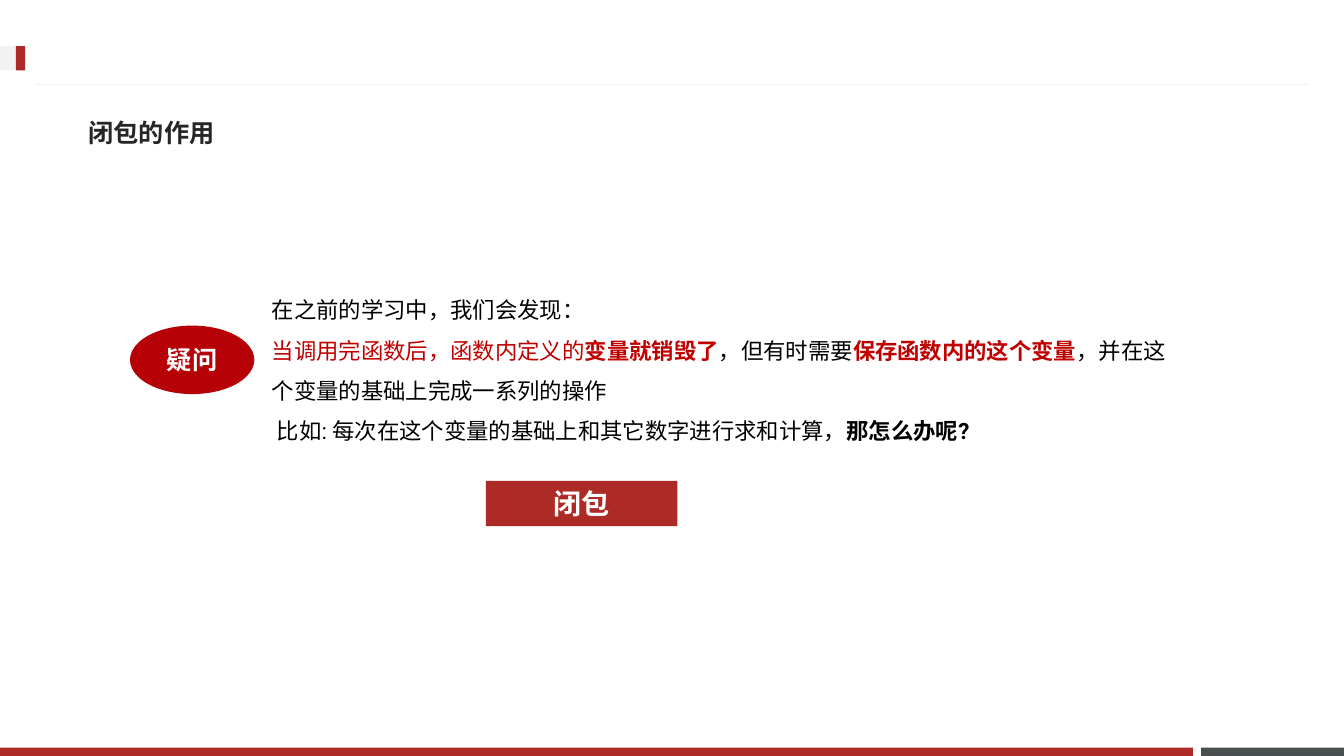
import pptx
import pptx.util
import pptx.dml.color
import pptx.enum.shapes
import pptx.enum.text
import pptx.oxml.ns
import lxml.etree

COLORS = {
    "brand": "AD2B26",
    "question": "B60206",
    "accent": "C00000",
    "slate": "49504F",
    "pale": "F2F2F2",
    "heading": "262626",
    "body": "000000",
    "white": "FFFFFF",
}
CJK_FONT = "Noto Sans CJK JP"
LATIN_FONT = "Roboto"
COLUMNS, ROWS = 160, 90
SHAPES = pptx.enum.shapes.MSO_SHAPE
ALIGN = pptx.enum.text.PP_ALIGN
ANCHOR = pptx.enum.text.MSO_ANCHOR


def rgb(name):
    return pptx.dml.color.RGBColor.from_string(COLORS[name])


def write(paragraph, text, size=16, color="body", bold=False, font=LATIN_FONT):
    run = paragraph.add_run()
    run.text = text
    run.font.size = pptx.util.Pt(size)
    run.font.bold = bold
    run.font.color.rgb = rgb(color)
    run.font.name = font
    east_asian = lxml.etree.SubElement(run.font._element, pptx.oxml.ns.qn("a:ea"))
    east_asian.set("typeface", CJK_FONT)


class LessonSlide:
    def __init__(self, presentation):
        self.column = presentation.slide_width / COLUMNS
        self.row = presentation.slide_height / ROWS
        self.slide = presentation.slides.add_slide(presentation.slide_layouts[6])

    def place(self, left, top, width, height):
        return (round(left * self.column), round(top * self.row),
                round(width * self.column), round(height * self.row))

    def block(self, *box, fill, kind=SHAPES.RECTANGLE, label=None, size=18):
        shape = self.slide.shapes.add_shape(kind, *self.place(*box))
        shape.shadow.inherit = False
        shape.fill.solid()
        shape.fill.fore_color.rgb = rgb(fill)
        shape.line.fill.background()
        if label:
            shape.text_frame.vertical_anchor = ANCHOR.MIDDLE
            paragraph = shape.text_frame.paragraphs[0]
            paragraph.alignment = ALIGN.CENTER
            write(paragraph, label, size=size, color="white", bold=True)

    def rule(self, left, right, row, color):
        x, y, width, _ = self.place(left, row, right - left, 0)
        line = self.slide.shapes.add_connector(
            pptx.enum.shapes.MSO_CONNECTOR.STRAIGHT, x, y, x + width, y)
        line.line.color.rgb = rgb(color)
        line.line.width = pptx.util.Pt(0.75)
        lxml.etree.SubElement(line._element.spPr, pptx.oxml.ns.qn("a:effectLst"))

    def text(self, *box, paragraphs, anchor=ANCHOR.TOP, spacing=None):
        frame = self.slide.shapes.add_textbox(*self.place(*box)).text_frame
        frame.word_wrap = True
        frame.vertical_anchor = anchor
        for index, runs in enumerate(paragraphs):
            paragraph = frame.add_paragraph() if index else frame.paragraphs[0]
            if spacing:
                paragraph.line_spacing = pptx.util.Pt(spacing)
            for words, style in runs:
                write(paragraph, words, **style)


def main():
    presentation = pptx.Presentation()
    presentation.slide_width = pptx.util.Inches(13.33)
    presentation.slide_height = pptx.util.Inches(7.5)
    lesson = LessonSlide(presentation)

    lesson.block(143, 89, 17, 1, fill="slate")
    lesson.block(0, 89, 142, 1, fill="brand")
    lesson.rule(4.2, 155.8, 10.1, "pale")
    lesson.block(0, 5.5, 3, 2.9, fill="pale")
    lesson.block(1.9, 5.5, 1.1, 2.9, fill="brand")

    heading = dict(size=18, color="heading", bold=True, font=CJK_FONT)
    lesson.text(9.36, 12.36, 140.4, 6.84, anchor=ANCHOR.MIDDLE,
                paragraphs=[[("闭包的作用", heading)]])

    lesson.block(15.48, 38.76, 14.8, 8.16, fill="question",
                 kind=SHAPES.OVAL, label="疑问")

    plain = {}
    red = dict(color="accent")
    key_point = dict(color="accent", bold=True)
    lesson.text(31.2, 33.12, 109.2, 20.64, spacing=28.8, paragraphs=[
        [("在之前的学习中，我们会发现：", plain)],
        [("当调用完函数后，函数内定义的", red),
         ("变量就销毁了", key_point),
         ("，但有时需要", plain),
         ("保存函数内的这个变量", key_point),
         ("，并在这个变量的基础上完成一系列的操作", plain)],
        [(" 比如: 每次在这个变量的基础上和其它数字进行求和计算，", plain),
         ("那怎么办呢?", dict(bold=True))],
    ])

    lesson.block(57.84, 57.24, 22.8, 5.4, fill="brand", label="闭包", size=20)
    presentation.save("out.pptx")


if __name__ == "__main__":
    main()
